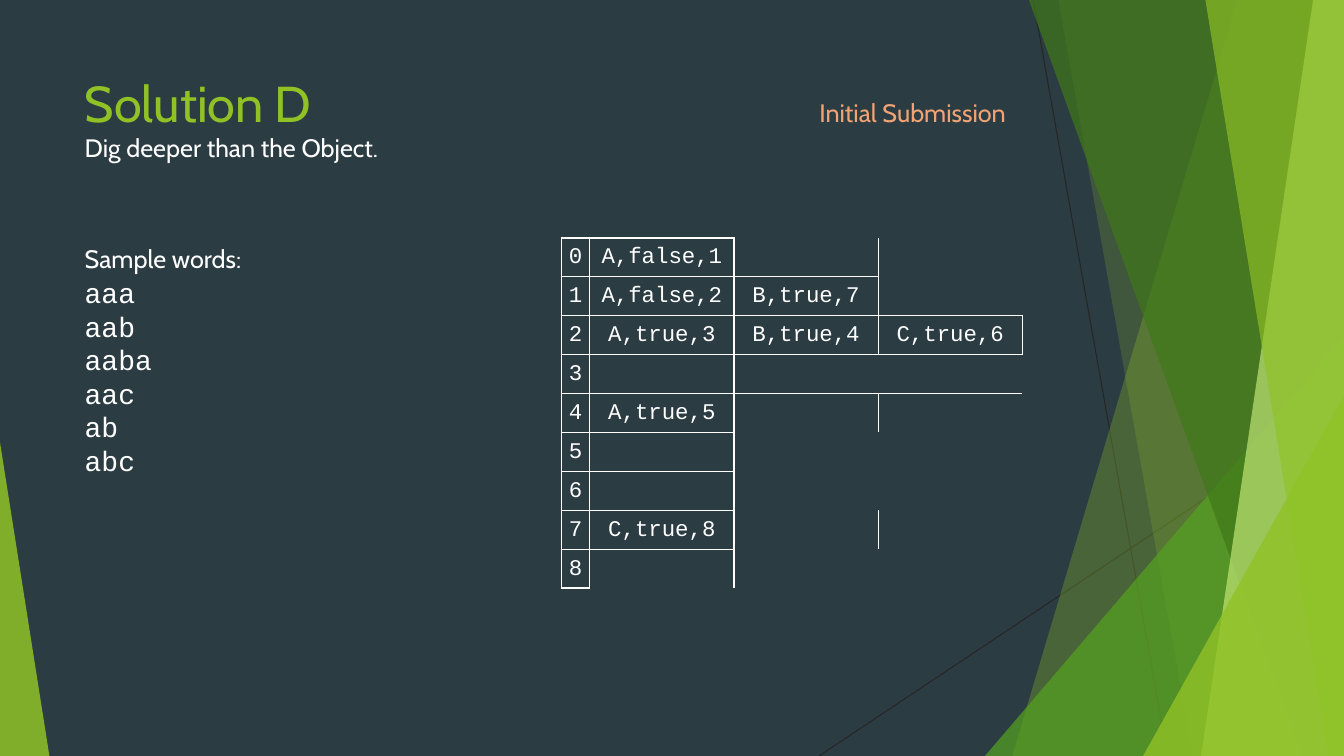
"""Build the "Solution D" slide with its word list and hash table."""
from lxml import etree
from pptx import Presentation
from pptx.dml.color import RGBColor
from pptx.enum.shapes import MSO_CONNECTOR, MSO_SHAPE
from pptx.enum.text import MSO_ANCHOR, MSO_AUTO_SIZE, PP_ALIGN
from pptx.oxml.ns import qn
from pptx.util import Pt

LINE = MSO_CONNECTOR.STRAIGHT
TRIANGLE = MSO_SHAPE.ISOSCELES_TRIANGLE
LEFT, CENTER = PP_ALIGN.LEFT, PP_ALIGN.CENTER
TOP, MIDDLE = MSO_ANCHOR.TOP, MSO_ANCHOR.MIDDLE
NO_FIT = MSO_AUTO_SIZE.NONE

W, H = 960, 540
SANS, MONO = "Cabin", "Courier New"
NO_GRID = "{2D5ABB26-0587-4C30-8999-92F81FD0307C}"
COLORS = {
    "bg": "2C3C43", "hairline": "262626", "lime": "90C226", "green": "54A021",
    "forest": "3F7819", "pale": "C0E474", "orange": "F1A374", "white": "FFFFFF",
}


class Deck:
    """Holds the style and the current slide."""

    def __init__(self):
        self.prs = Presentation()
        self.prs.slide_width, self.prs.slide_height = Pt(W), Pt(H)
        self.s = self.prs.slides.add_slide(self.prs.slide_layouts[1])
        self.paint(self.s.background.fill, "bg")

    def paint(self, fill, color, alpha=100):
        fill.solid()
        fill.fore_color.rgb = RGBColor.from_string(COLORS[color])
        if alpha < 100:
            clr = fill._xPr.find(".//" + qn("a:srgbClr"))
            etree.SubElement(clr, qn("a:alpha"), val=str(alpha * 1000))

    def finish(self, sp, color, alpha):
        sp.shadow.inherit = False
        self.paint(sp.fill, color, alpha)
        sp.line.fill.background()

    def line(self, x1, y1, x2, y2):
        c = self.s.shapes.add_connector(LINE, Pt(x1), Pt(y1), Pt(x2), Pt(y2))
        c.line.color.rgb = RGBColor.from_string(COLORS["hairline"])
        c.line.width = Pt(0.75)
        etree.SubElement(c._element.spPr, qn("a:effectLst"))

    def band(self, top_x, bottom_x, color, alpha):
        fb = self.s.shapes.build_freeform(Pt(top_x), 0)
        corners = [(W, 0), (W, H), (bottom_x, H)]
        fb.add_line_segments([(Pt(x), Pt(y)) for x, y in corners], close=True)
        self.finish(fb.convert_to_shape(), color, alpha)

    def triangle(self, x, y, w, apex, color, alpha):
        sp = self.s.shapes.add_shape(TRIANGLE, Pt(x), Pt(y), Pt(w), Pt(H - y))
        sp.adjustments[0] = apex
        self.finish(sp, color, alpha)

    def run(self, p, text, size, font=SANS, color="white"):
        r = p.add_run()
        r.text = text
        r.font.size, r.font.name = Pt(size), font
        r.font.color.rgb = RGBColor.from_string(COLORS[color])

    def placeholder(self, index, x, y, w, h):
        sp = self.s.placeholders[index]
        sp.left, sp.top, sp.width, sp.height = Pt(x), Pt(y), Pt(w), Pt(h)
        self.s.shapes._spTree.append(sp._element)
        tf = sp.text_frame
        tf.word_wrap, tf.auto_size, tf.vertical_anchor = True, NO_FIT, TOP
        return tf

    def title(self, box, title, note, subtitle, tab):
        p = self.placeholder(0, *box).paragraphs[0]
        p.alignment = LEFT
        tabs = etree.SubElement(p._p.get_or_add_pPr(), qn("a:tabLst"))
        etree.SubElement(tabs, qn("a:tab"), pos=str(Pt(tab)), algn="r")
        self.run(p, title + "\t", 36, color="lime")
        self.run(p, note, 18, color="orange")
        p.add_line_break()
        self.run(p, subtitle, 18)

    def word_list(self, box, heading, words):
        tf = self.placeholder(1, *box)
        for i, text in enumerate([heading] + words):
            p = tf.add_paragraph() if i else tf.paragraphs[0]
            p.space_before = Pt(0)
            pPr = p._p.get_or_add_pPr()
            pPr.set("marL", "0")
            pPr.set("indent", "0")
            if i:
                p.line_spacing = Pt(24)
                self.run(p, text, 20, MONO)
            else:
                p.space_after = Pt(1.5)
                self.run(p, text, 18)
            etree.SubElement(pPr, qn("a:buNone"))

    def border(self, cell, side):
        ln = etree.SubElement(cell._tc.get_or_add_tcPr(), qn("a:" + side), w=str(Pt(1)))
        fill = etree.SubElement(ln, qn("a:solidFill"))
        etree.SubElement(fill, qn("a:srgbClr"), val=COLORS["white"])

    def table(self, x, y, widths, row_h, rows):
        n, m = len(rows), len(widths)
        frame = self.s.shapes.add_table(n, m, Pt(x), Pt(y), Pt(sum(widths)), Pt(n * row_h))
        tbl = frame.table
        tbl.first_row = tbl.horz_banding = False
        tbl._tbl.tblPr.find(qn("a:tableStyleId")).text = NO_GRID
        for col, w in zip(tbl.columns, widths):
            col.width = Pt(w)
        for row in tbl.rows:
            row.height = Pt(row_h)
        sides = {"lnL": (0, -1), "lnR": (0, 1), "lnT": (-1, 0), "lnB": (1, 0)}
        used = {(i, j) for i, row in enumerate(rows) for j in range(len(row))}
        for i in range(n):
            for j in range(m):
                cell = tbl.cell(i, j)
                cell.margin_left = cell.margin_right = Pt(1.5)
                cell.margin_top, cell.margin_bottom = Pt(0.75), 0
                cell.vertical_anchor = MIDDLE
                for side, (di, dj) in sides.items():
                    if used & {(i, j), (i + di, j + dj)}:
                        self.border(cell, side)
                cell.fill.background()
                if (i, j) in used:
                    p = cell.text_frame.paragraphs[0]
                    p.alignment = CENTER
                    self.run(p, rows[i][j], 16, MONO)


deck = Deck()
deck.line(738, 0, 834, H)
deck.line(W, 290, 585, H)
deck.band(884, 723, "lime", 30)
deck.band(756, 852, "lime", 20)
deck.triangle(703.5, 240, 256.5, 1, "green", 72)
deck.band(735, 930, "forest", 70)
deck.band(938, 858, "pale", 70)
deck.band(861, 949, "lime", 65)
deck.triangle(816.5, 283, 143.5, 1, "lime", 80)
deck.triangle(0, 316, 35.3, 0, "lime", 85)

deck.title((53.3, 48, 677, 104), "Solution D", "Initial Submission",
           "Dig deeper than the Object.", tab=658)

buckets = {
    0: ["A,false,1"],
    1: ["A,false,2", "B,true,7"],
    2: ["A,true,3", "B,true,4", "C,true,6"],
    4: ["A,true,5"],
    7: ["C,true,8"],
}
deck.table(401, 170, [20.3] + [103] * 3, 27.8,
           [[str(i)] + buckets.get(i, []) for i in range(9)])

deck.word_list((53.3, 170, 330, 305), "Sample words:",
               ["aaa", "aab", "aaba", "aac", "ab", "abc"])
deck.prs.save("out.pptx")
